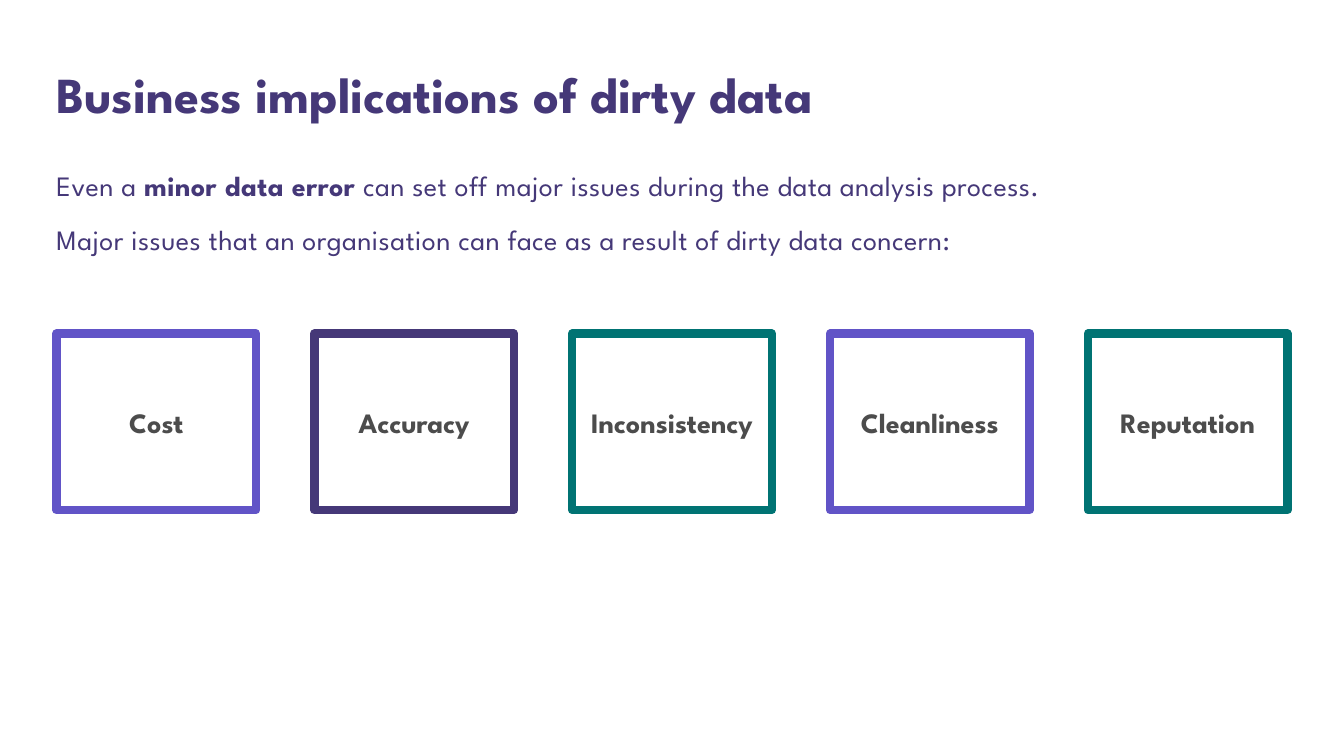
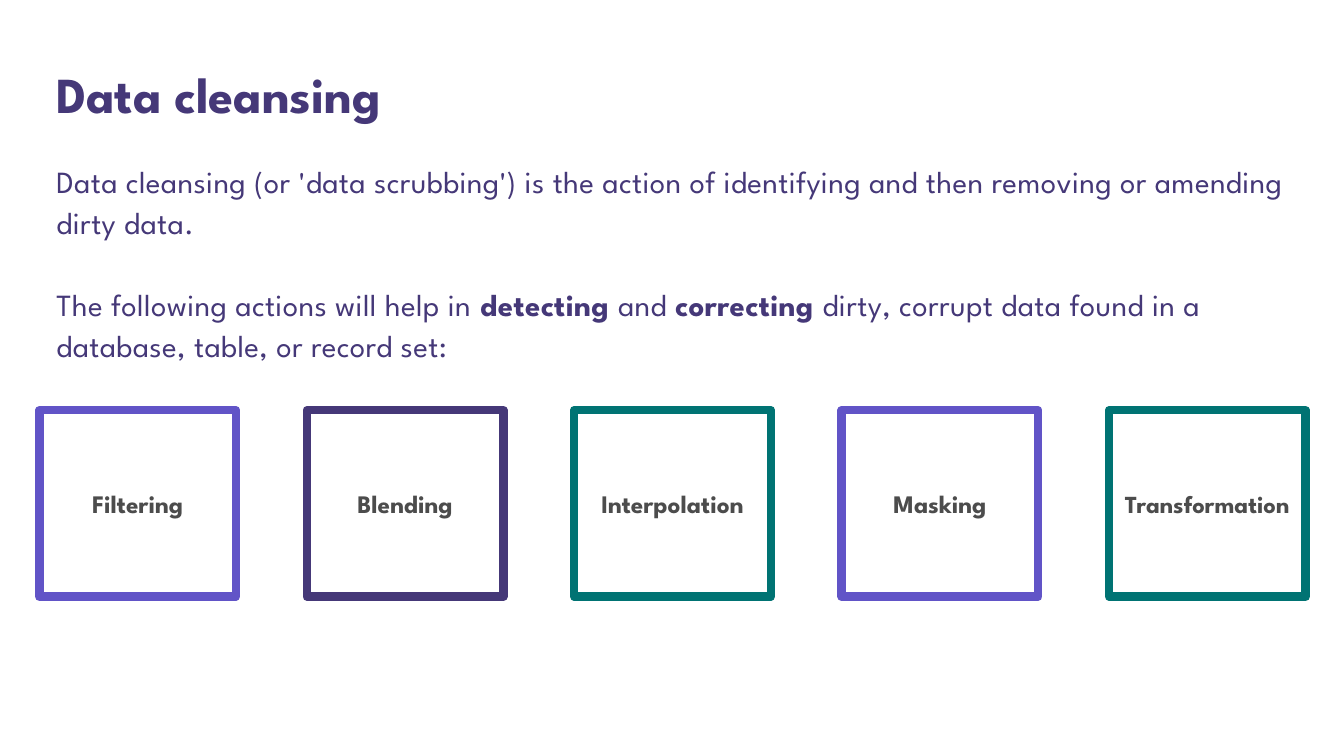
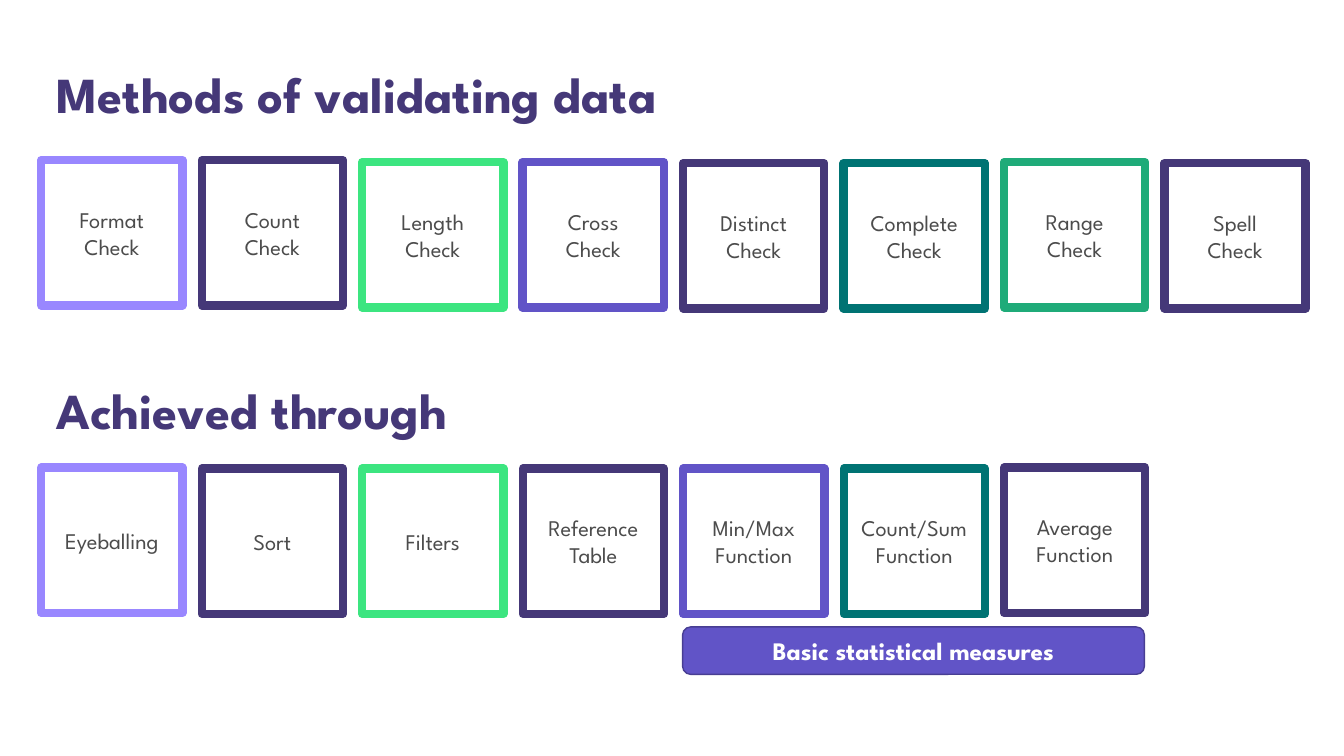
import pptx
import pptx.dml.color
import pptx.enum.shapes
import pptx.enum.text
import pptx.util

Inches = pptx.util.Inches
Pt = pptx.util.Pt
RGBColor = pptx.dml.color.RGBColor
MSO_SHAPE = pptx.enum.shapes.MSO_SHAPE
MSO_ANCHOR = pptx.enum.text.MSO_ANCHOR
PP_ALIGN = pptx.enum.text.PP_ALIGN

FONT = "League Spartan"
PURPLE = RGBColor(0x45, 0x38, 0x78)
VIOLET = RGBColor(0x61, 0x54, 0xC7)
DARK_VIOLET = RGBColor(0x48, 0x3E, 0x93)
LILAC = RGBColor(0x99, 0x87, 0xFF)
TEAL = RGBColor(0x00, 0x73, 0x73)
GREEN = RGBColor(0x1F, 0xAB, 0x79)
LIME = RGBColor(0x3C, 0xE5, 0x80)
GREY = RGBColor(0x4C, 0x4C, 0x4C)
WHITE = RGBColor(0xFF, 0xFF, 0xFF)

MARGIN = 0.56
TITLE_TOP = 0.61


def add_text_box(slide, top, width, height):
    """Add a wrapping text frame without insets at the left margin."""
    box = slide.shapes.add_textbox(
        Inches(MARGIN), Inches(top), Inches(width), Inches(height))
    frame = box.text_frame
    frame.word_wrap = True
    frame.margin_left = frame.margin_right = 0
    frame.margin_top = frame.margin_bottom = 0
    return frame


def format_runs(frame, size, colour, bold):
    for paragraph in frame.paragraphs:
        for run in paragraph.runs:
            run.font.name = FONT
            run.font.size = Pt(size)
            run.font.bold = bold
            run.font.color.rgb = colour


presentation = pptx.Presentation()
presentation.slide_width = Inches(13.33)
presentation.slide_height = Inches(7.5)
implications, cleansing, validating = [
    presentation.slides.add_slide(presentation.slide_layouts[6]) for _ in range(3)]

# Titles
for slide, top, title in [
    (implications, TITLE_TOP, "Business implications of dirty data"),
    (cleansing, TITLE_TOP, "Data cleansing"),
    (validating, TITLE_TOP, "Methods of validating data"),
    (validating, 3.74, "Achieved through"),
]:
    frame = add_text_box(slide, top, 12.2, 0.64)
    frame.vertical_anchor = MSO_ANCHOR.MIDDLE
    frame.text = title
    format_runs(frame, 36, PURPLE, True)

# Body texts: asterisks enclose the bold words
for slide, top, width, height, size, gap, texts in [
    (implications, 1.64, 12.01, 1.2, 20, 12, [
        "Even a *minor data error* can set off major issues during the data "
        "analysis process.",
        "Major issues that an organisation can face as a result of dirty data "
        "concern:",
    ]),
    (cleansing, 1.58, 12.2, 2.17, 22, 30, [
        "Data cleansing (or 'data scrubbing') is the action of identifying and "
        "then removing or amending dirty data.",
        "The following actions will help in *detecting *and *correcting *dirty, "
        "corrupt data found in a database, table, or record set:",
    ]),
]:
    frame = add_text_box(slide, top, width, height)
    for index, text in enumerate(texts):
        paragraph = frame.add_paragraph() if index else frame.paragraphs[0]
        paragraph.line_spacing = 1.1
        if index:
            paragraph.space_before = Pt(gap)
        for part, words in enumerate(text.split("*")):
            run = paragraph.add_run()
            run.text = words
            run.font.name = FONT
            run.font.size = Pt(size)
            run.font.bold = part % 2 == 1
            run.font.color.rgb = PURPLE
            run.font._element.set("spc", "30")

# Rows of outlined boxes, evenly spaced from first_left to last_left;
# each box has a label, line colour, top and text size
issues = [(label, colour, 3.31, 20) for label, colour in [
    ("Cost", VIOLET), ("Accuracy", PURPLE), ("Inconsistency", TEAL),
    ("Cleanliness", VIOLET), ("Reputation", TEAL)]]
actions = [(label, colour, 4.07, size) for label, colour, size in [
    ("Filtering", VIOLET, 18), ("Blending", PURPLE, 18),
    ("Interpolation", TEAL, 18), ("Masking", VIOLET, 18),
    ("Transformation", TEAL, 17.5)]]
checks = [(f"{name}\nCheck", colour, top, 16) for name, colour, top in [
    ("Format", LILAC, 1.59), ("Count", PURPLE, 1.59), ("Length", LIME, 1.61),
    ("Cross", VIOLET, 1.61), ("Distinct", PURPLE, 1.62), ("Complete", TEAL, 1.62),
    ("Range", GREEN, 1.61), ("Spell", PURPLE, 1.62)]]
tools = [(label, colour, top, 16) for label, colour, top in [
    ("Eyeballing", LILAC, 4.64), ("Sort", PURPLE, 4.65), ("Filters", LIME, 4.65),
    ("Reference\nTable", PURPLE, 4.65), ("Min/Max\nFunction", VIOLET, 4.65),
    ("Count/Sum\nFunction", TEAL, 4.65), ("Average\nFunction", PURPLE, 4.64)]]

for slide, boxes, first_left, last_left, width, height, bold in [
    (implications, issues, 0.56, 10.79, 1.98, 1.75, True),
    (cleansing, actions, 0.39, 11, 1.95, 1.85, True),
    (validating, checks, 0.41, 11.55, 1.4, 1.44, False),
    (validating, tools, 0.41, 9.96, 1.4, 1.44, False),
]:
    pitch = (last_left - first_left) / (len(boxes) - 1)
    for index, (label, colour, top, size) in enumerate(boxes):
        shape = slide.shapes.add_shape(
            MSO_SHAPE.RECTANGLE, Inches(first_left + index * pitch), Inches(top),
            Inches(width), Inches(height))
        shape.shadow.inherit = False
        shape.fill.background()
        shape.line.color.rgb = colour
        shape.line.width = Pt(6)
        frame = shape.text_frame
        frame.word_wrap = False
        frame.vertical_anchor = MSO_ANCHOR.MIDDLE
        frame.text = label
        for paragraph in frame.paragraphs:
            paragraph.alignment = PP_ALIGN.CENTER
        format_runs(frame, size, GREY, bold)

# Label under the three function boxes
measures = validating.shapes.add_shape(
    MSO_SHAPE.ROUNDED_RECTANGLE, Inches(6.77), Inches(6.22), Inches(4.58), Inches(0.47))
measures.shadow.inherit = False
measures.fill.solid()
measures.fill.fore_color.rgb = VIOLET
measures.line.color.rgb = DARK_VIOLET
measures.line.width = Pt(1)
measures.text_frame.vertical_anchor = MSO_ANCHOR.MIDDLE
measures.text_frame.text = "Basic statistical measures"
measures.text_frame.paragraphs[0].alignment = PP_ALIGN.CENTER
format_runs(measures.text_frame, 18, WHITE, True)

presentation.save("out.pptx")
